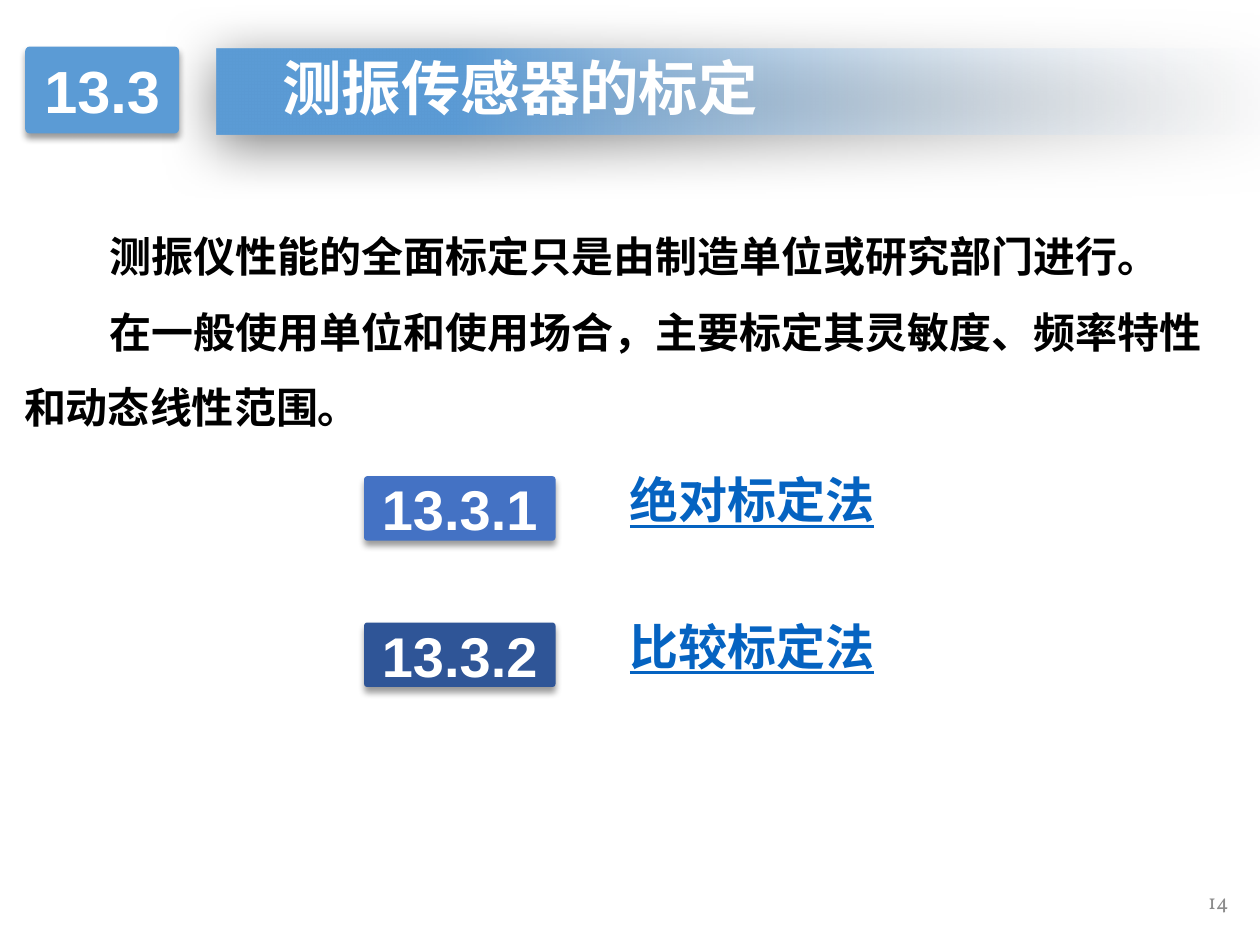
from lxml import etree
from pptx import Presentation
from pptx.dml.color import RGBColor
from pptx.enum.shapes import MSO_SHAPE
from pptx.enum.text import MSO_ANCHOR, MSO_AUTO_SIZE, PP_ALIGN
from pptx.oxml.ns import qn
from pptx.util import Cm, Pt

RECT, ROUNDED = MSO_SHAPE.RECTANGLE, MSO_SHAPE.ROUNDED_RECTANGLE
TOP, MIDDLE = MSO_ANCHOR.TOP, MSO_ANCHOR.MIDDLE
LEFT, CENTER, RIGHT = PP_ALIGN.LEFT, PP_ALIGN.CENTER, PP_ALIGN.RIGHT
NO_FIT = MSO_AUTO_SIZE.NONE

COLORS = {
    "banner": "5B9BD5",
    "fade": "F6F8FC",
    "absolute": "4472C4",
    "relative": "2F5597",
    "link": "0563C1",
    "text": "000000",
    "white": "FFFFFF",
    "number": "8C8C8C",
    "shadow": "000000",
}
CJK = "Noto Sans CJK SC"


def write(shape, lines, size, color, font=CJK, align=LEFT, anchor=TOP,
          wrap=False, bold=True):
    frame = shape.text_frame
    frame.text = "\n".join(lines)
    frame.auto_size = NO_FIT
    frame.word_wrap = wrap
    frame.vertical_anchor = anchor
    for paragraph in frame.paragraphs:
        paragraph.alignment = align
        paragraph.space_before = Pt(0)
        for run in paragraph.runs:
            run.font.size = Pt(size)
            run.font.bold = bold
            run.font.name = font
            run.font.color.rgb = RGBColor.from_string(COLORS[color])
            east_asian = etree.Element(qn("a:ea"), typeface=font)
            run.font._element.find(qn("a:latin")).addnext(east_asian)


def add_shadow(shape, opacity, blur, distance, angle):
    shape.shadow.inherit = False
    effects = shape._element.spPr.find(qn("a:effectLst"))
    shadow = etree.SubElement(
        effects, qn("a:outerShdw"), blurRad=str(Pt(blur)), dist=str(Pt(distance)),
        dir=str(angle * 60000), algn="ctr", rotWithShape="0")
    tint = etree.SubElement(shadow, qn("a:srgbClr"), val=COLORS["shadow"])
    etree.SubElement(tint, qn("a:alpha"), val=str(opacity * 1000))


prs = Presentation()
prs.slide_width, prs.slide_height = Cm(25.4), Cm(19.05)
slide = prs.slides.add_slide(prs.slide_layouts[1])
shapes = slide.shapes
title, body = shapes.title, slide.placeholders[1]

banner = shapes.add_shape(RECT, Cm(4.37), Cm(0.98), Cm(21.77), Cm(1.74))
banner.line.fill.background()
banner.fill.gradient()
banner.fill.gradient_angle = 180
for stop, color, position in zip(banner.fill.gradient_stops,
                                 ("fade", "banner"), (0, 0.78)):
    stop.color.rgb = RGBColor.from_string(COLORS[color])
    stop.position = position
fade_color = banner._element.spPr.find(".//" + qn("a:srgbClr"))
etree.SubElement(fade_color, qn("a:alpha"), val="0")
add_shadow(banner, 50, 31, 6, 97)

title.left, title.top, title.width, title.height = Cm(5.44), Cm(0.91), Cm(10.24), Cm(1.7)
write(title, ["测振传感器的标定"], 34, "white")
banner._element.addnext(title._element)

body.left, body.top, body.width, body.height = Cm(0.23), Cm(4.01), Cm(24.51), Cm(6.25)
write(body, ["测振仪性能的全面标定只是由制造单位或研究部门进行。",
             "在一般使用单位和使用场合，主要标定其灵敏度、频率特性和动态线性范围。"],
      24, "text", wrap=True)
for paragraph in body.text_frame.paragraphs:
    paragraph.line_spacing = 1.5
    properties = paragraph._p.get_or_add_pPr()
    properties.set("marL", "0")
    properties.set("indent", str(Cm(1.73)))
    etree.SubElement(properties, qn("a:buNone"))

badges = [
    ("13.3", 0.51, 0.94, 3.1, 1.75, 34, "banner"),
    ("13.3.1", 7.34, 9.6, 3.86, 1.3, 32, "absolute"),
    ("13.3.2", 7.34, 12.55, 3.86, 1.3, 32, "relative"),
]
for number, left, top, width, height, size, color in badges:
    badge = shapes.add_shape(ROUNDED, Cm(left), Cm(top), Cm(width), Cm(height))
    badge.adjustments[0] = 0.05
    badge.fill.solid()
    badge.fill.fore_color.rgb = RGBColor.from_string(COLORS[color])
    badge.line.fill.background()
    add_shadow(badge, 40, 4, 3, 90)
    write(badge, [number], size, "white", "Arial", CENTER, MIDDLE, wrap=True)

for method, top in (("绝对标定法", 9.35), ("比较标定法", 12.3)):
    method_label = shapes.add_textbox(Cm(12.45), Cm(top), Cm(5.51), Cm(1.45))
    write(method_label, [method], 28, "link")
    method_label.text_frame.paragraphs[0].runs[0].font.underline = True

page_number = shapes.add_textbox(Cm(23.65), Cm(17.65), Cm(1.37), Cm(1.02))
write(page_number, ["14"], 12, "number", "Vollkorn", RIGHT, MIDDLE, wrap=True, bold=False)

prs.save("out.pptx")
